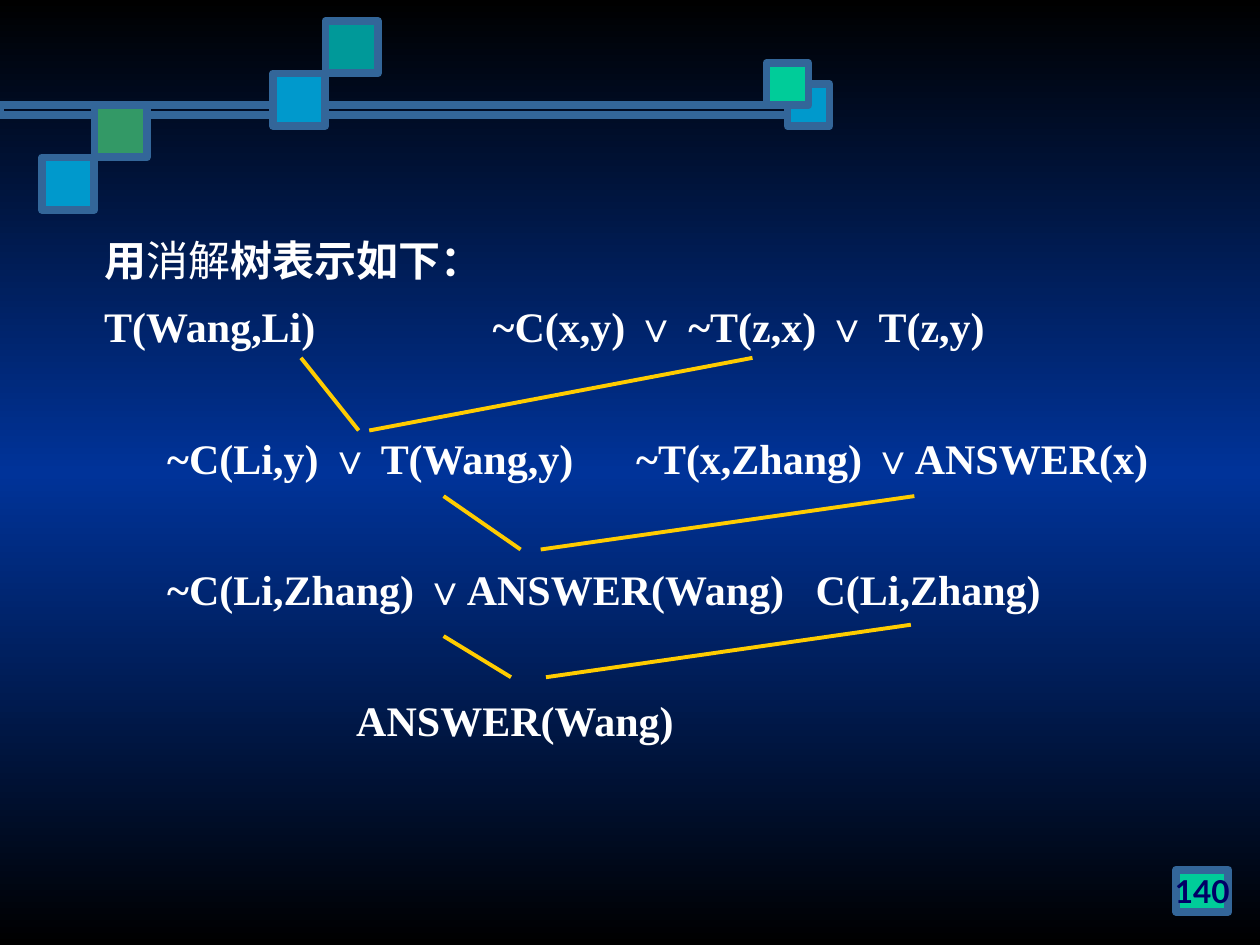
from copy import deepcopy

from lxml.etree import SubElement
from pptx import Presentation
from pptx.dml.color import RGBColor
from pptx.enum.shapes import MSO_CONNECTOR, MSO_SHAPE
from pptx.enum.text import MSO_ANCHOR, PP_ALIGN
from pptx.oxml.ns import qn
from pptx.util import Pt

COLORS = {
    "black": "000000", "navy": "003399", "frame": "336699", "blue": "0099CC",
    "mint": "00CC99", "green": "339966", "teal": "009999",
    "text": "FFFFFF", "number": "000066", "branch": "FFCC00",
}
OR_SIGN = "∨"

# Background bands: position, colour
BACKGROUND = [(0, "black"), (0.5, "navy"), (1, "black")]

# Decoration, back to front: left, top, width, height, fill
DECORATION = [
    (0, 60, 462, 6, None),
    (450, 48, 24, 24, "blue"),
    (438, 36, 24, 24, "mint"),
    (156, 42, 30, 30, "blue"),
    (24, 90, 30, 30, "blue"),
    (54, 60, 30, 30, "green"),
    (186, 12, 30, 30, "teal"),
]
PAGE_NUMBER = ("140", (672, 497, 30, 24, "mint"))

# Heading spans: text, bold
HEADING = [("用", True), ("消解", False), ("树表示如下：", True)]

# Clause rows: space before, then (start from the text edge, clause)
NEAR, FAR = 15, 52
ROWS = [
    (NEAR, [(0, "T(Wang,Li)"), (222, "~C(x,y) ∨ ~T(z,x) ∨ T(z,y)")]),
    (FAR, [(36, "~C(Li,y) ∨ T(Wang,y)"), (304, "~T(x,Zhang) ∨ANSWER(x)")]),
    (FAR, [(36, "~C(Li,Zhang) ∨ANSWER(Wang)"), (406.5, "C(Li,Zhang)")]),
    (FAR, [(144, "ANSWER(Wang)")]),
]

# Branches of the resolution tree: parent point, resolvent point
BRANCHES = [
    ((172, 204.5), (205, 246)), ((430, 204.5), (211, 246)),
    ((253.5, 283.5), (297.5, 314)), ((522.5, 283.5), (309, 314)),
    ((253.5, 363.5), (292, 387)), ((520.5, 357), (312, 387)),
]


def color(name):
    return RGBColor.from_string(COLORS[name])


def paint_background(page):
    fill = page.background.fill
    fill.gradient()
    fill.gradient_angle = 270
    stop_list = next(page.background._cSld.iter(qn("a:gsLst")))
    stop_list.append(deepcopy(stop_list[-1]))
    for stop, (position, name) in zip(fill.gradient_stops, BACKGROUND):
        stop.position = position
        stop.color.rgb = color(name)


def add_block(page, left, top, width, height, fill):
    block = page.shapes.add_shape(
        MSO_SHAPE.RECTANGLE, Pt(left), Pt(top), Pt(width), Pt(height))
    block.shadow.inherit = False
    if fill:
        block.fill.solid()
        block.fill.fore_color.rgb = color(fill)
    else:
        block.fill.background()
    block.line.color.rgb = color("frame")
    block.line.width = Pt(4.5)
    return block


def add_page_number(page):
    number, place = PAGE_NUMBER
    frame = add_block(page, *place).text_frame
    frame.text = number
    frame.word_wrap = False
    frame.vertical_anchor = MSO_ANCHOR.MIDDLE
    paragraph = frame.paragraphs[0]
    paragraph.alignment = PP_ALIGN.CENTER
    style_span(paragraph.runs[0], "Lato", 18, "number")


def style_span(span, font, size, name, bold=True):
    span.font.name = font
    span.font.size = Pt(size)
    span.font.bold = bold
    span.font.color.rgb = color(name)


def add_span(paragraph, text, bold=True):
    span = paragraph.add_run()
    span.text = text
    font = "Arial" if text == OR_SIGN else "Times New Roman"
    style_span(span, font, 24, "text", bold)


def add_clauses(paragraph, clauses):
    stops = [start for start, clause in clauses if start]
    tab_list = SubElement(paragraph._p.get_or_add_pPr(), qn("a:tabLst"))
    for start in stops:
        SubElement(tab_list, qn("a:tab"), pos=str(int(Pt(start))), algn="l")
    line = "".join(("\t" if start else "") + clause for start, clause in clauses)
    for index, part in enumerate(line.split(OR_SIGN)):
        if index:
            add_span(paragraph, OR_SIGN)
        add_span(paragraph, part)


def add_tree_text(page):
    box = page.shapes.add_textbox(Pt(52.5), Pt(136), Pt(636.5), Pt(296.5))
    frame = box.text_frame
    frame.word_wrap = True
    heading = frame.paragraphs[0]
    heading.line_spacing = 0.8
    for text, bold in HEADING:
        add_span(heading, text, bold)
    for space, clauses in ROWS:
        paragraph = frame.add_paragraph()
        add_clauses(paragraph, clauses)
        paragraph.line_spacing = 0.8
        paragraph.space_before = Pt(space)


def add_branch(page, start, end):
    branch = page.shapes.add_connector(
        MSO_CONNECTOR.STRAIGHT, *(Pt(value) for value in start + end))
    branch.line.color.rgb = color("branch")
    branch.line.width = Pt(2.25)
    SubElement(branch._element.spPr, qn("a:effectLst"))


def main():
    deck = Presentation()
    deck.slide_width, deck.slide_height = Pt(720), Pt(540)
    page = deck.slides.add_slide(deck.slide_layouts[6])
    paint_background(page)
    for block in DECORATION:
        add_block(page, *block)
    add_page_number(page)
    add_tree_text(page)
    for start, end in BRANCHES:
        add_branch(page, start, end)
    deck.save("out.pptx")


if __name__ == "__main__":
    main()
